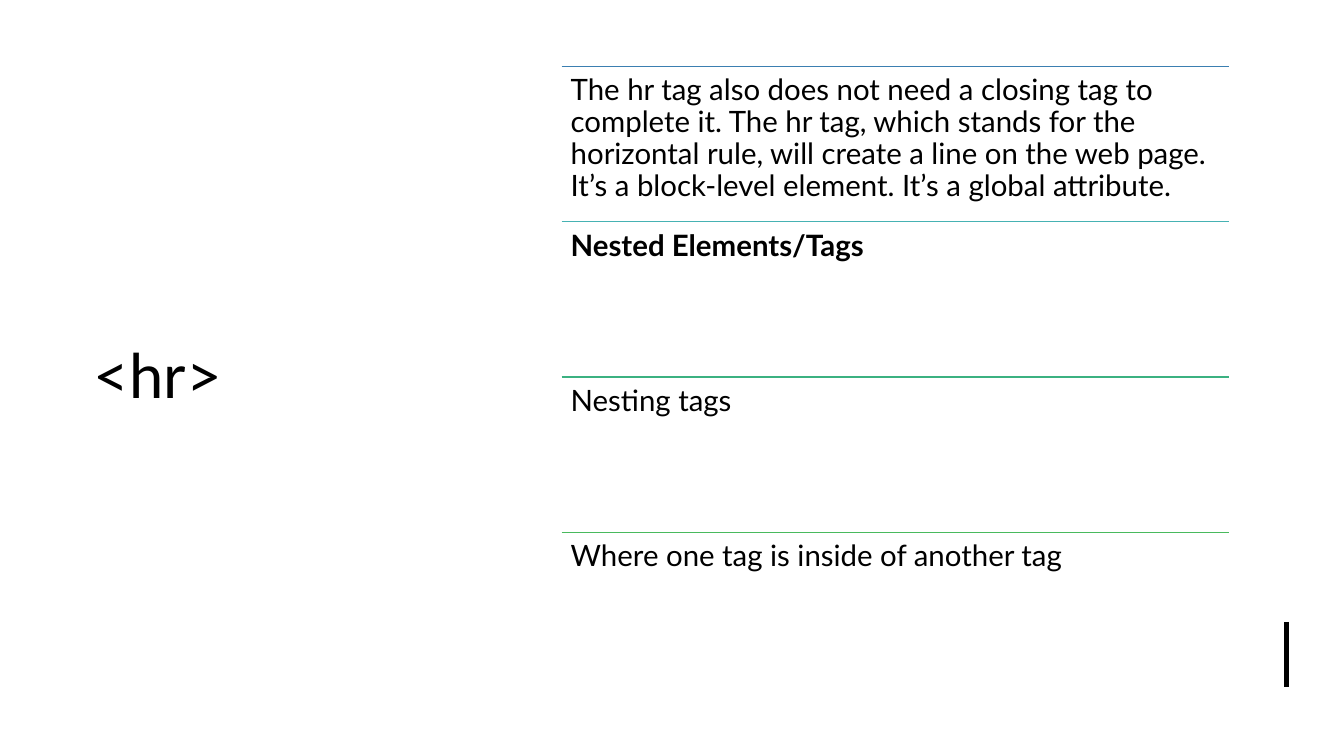
from dataclasses import dataclass

from lxml.etree import SubElement
from pptx import Presentation
from pptx.dml.color import RGBColor
from pptx.enum.shapes import MSO_CONNECTOR
from pptx.enum.text import MSO_ANCHOR
from pptx.oxml.ns import qn
from pptx.slide import Slide
from pptx.util import Emu, Pt

EMU_PER_PX = 9144
FONT = "Lato"
BLACK = "000000"
ROWS_LEFT, ROWS_TOP, ROWS_WIDTH, ROW_HEIGHT = 557, 66, 662, 154


@dataclass
class Row:
    text: str
    line_color: str
    bold: bool = False


ROWS = [
    Row(
        "The hr tag also does not need a closing tag to complete it. "
        "The hr tag, which stands for the horizontal rule, will create a line "
        "on the web page. It’s a block-level element. It’s a global attribute.",
        "3B7FB1",
    ),
    Row("Nested Elements/Tags", "46B2B3", bold=True),
    Row("Nesting tags", "3BB181"),
    Row("Where one tag is inside of another tag", "49BA5D"),
]


def px(length: int) -> Emu:
    return Emu(length * EMU_PER_PX)


def color(value: str) -> RGBColor:
    return RGBColor.from_string(value)


def add_line(slide: Slide, left: int, top: int, right: int, bottom: int,
             line_color: str, width: int) -> None:
    connector = slide.shapes.add_connector(
        MSO_CONNECTOR.STRAIGHT, px(left), px(top), px(right), px(bottom)
    )
    connector.line.color.rgb = color(line_color)
    connector.line.width = Pt(width)
    SubElement(connector._element.spPr, qn("a:effectLst"))


def add_text(slide: Slide, left: int, top: int, width: int, height: int,
             text: str, size: int, inset: int, bold: bool = False,
             anchor: MSO_ANCHOR = MSO_ANCHOR.TOP) -> None:
    shape = slide.shapes.add_textbox(px(left), px(top), px(width), px(height))
    frame = shape.text_frame
    frame.word_wrap = True
    frame.vertical_anchor = anchor
    frame.margin_left = frame.margin_right = px(inset)
    frame.margin_top = frame.margin_bottom = px(inset)
    frame.text = text
    paragraph = frame.paragraphs[0]
    paragraph.line_spacing = 0.9
    font = paragraph.runs[0].font
    font.name = FONT
    font.size = Pt(size)
    font.bold = bold
    font.color.rgb = color(BLACK)


def add_row(slide: Slide, index: int, row: Row) -> None:
    top = ROWS_TOP + index * ROW_HEIGHT
    add_line(slide, ROWS_LEFT, top, ROWS_LEFT + ROWS_WIDTH, top, row.line_color, 1)
    add_text(slide, ROWS_LEFT, top, ROWS_WIDTH, ROW_HEIGHT, row.text, 21, 9, row.bold)


def main() -> None:
    presentation = Presentation()
    presentation.slide_width = px(1333)
    presentation.slide_height = px(750)
    slide = presentation.slides.add_slide(presentation.slide_layouts[6])
    slide.background.fill.solid()
    slide.background.fill.fore_color.rgb = color("FFFFFF")

    add_text(slide, 83, 94, 377, 564, "<hr>", 44, 10, anchor=MSO_ANCHOR.MIDDLE)
    add_line(slide, 1276, 617, 1276, 682, BLACK, 3)
    for index, row in enumerate(ROWS):
        add_row(slide, index, row)

    presentation.save("out.pptx")


if __name__ == "__main__":
    main()
